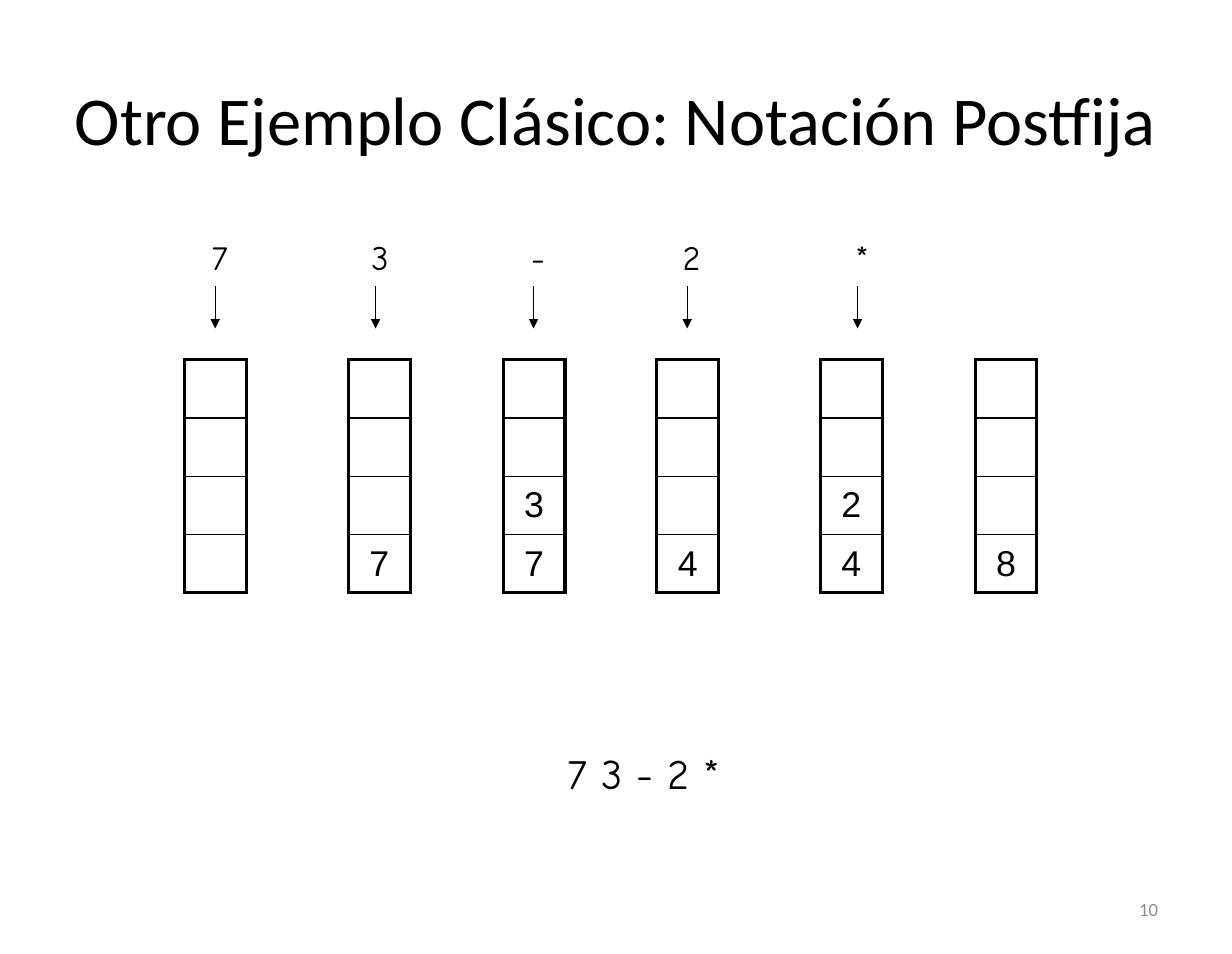
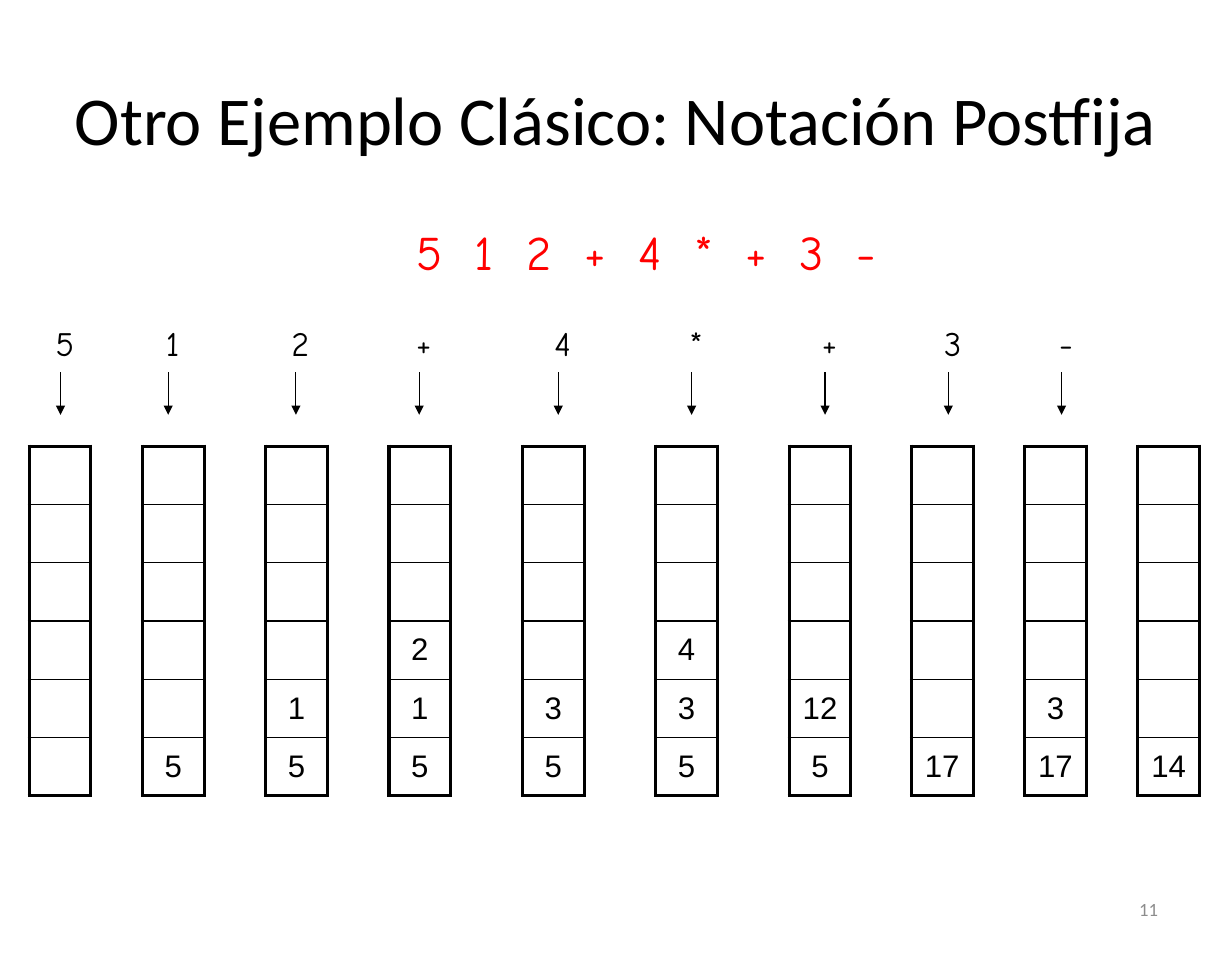
from lxml import etree
from pptx import Presentation
from pptx.dml.color import RGBColor
from pptx.enum.shapes import MSO_CONNECTOR
from pptx.enum.text import MSO_ANCHOR, PP_ALIGN
from pptx.oxml.ns import qn
from pptx.util import Inches, Pt

CENTER, RIGHT = PP_ALIGN.CENTER, PP_ALIGN.RIGHT
TOP, MIDDLE = MSO_ANCHOR.TOP, MSO_ANCHOR.MIDDLE
STRAIGHT = MSO_CONNECTOR.STRAIGHT

COLORS = {"ink": "000000", "accent": "FF0000", "page": "8C8C8C"}
TITLE = "Otro Ejemplo Clásico: Notación Postfija"
FORMATS = {
    "title": {"name": "Calibri", "size": Pt(44)},
    "page": {"name": "Calibri", "size": Pt(12)},
    "symbol": {"name": "Comic Neue", "size": Pt(22)},
}
CELL_WIDTH, CELL_HEIGHT = 0.55, 0.52
THICK, THIN = Pt(2.25), Pt(1)

# Each step: stack left edge, arrow centre, symbol read, stack from top to bottom
EXAMPLES = [
    {
        "page": "10",
        "expression": "7 3 - 2 *",
        "expression_box": (4.72, 6.62, 1.8, 0.57),
        "expression_format": {"name": "Comic Neue", "size": Pt(27)},
        "expression_color": "ink", "expression_align": RIGHT, "letter_gap": 0,
        "stack_top": 3.21, "stack_rows": 4, "value_size": 23,
        "steps": [
            (1.65, 1.92, "7", []),
            (3.11, 3.35, "3", ["7"]),
            (4.49, 4.76, "-", ["3", "7"]),
            (5.86, 6.13, "2", ["4"]),
            (7.32, 7.65, "*", ["2", "4"]),
            (8.7, None, None, ["8"]),
        ],
    },
    {
        "page": "11",
        "expression": "5 1 2 + 4 * + 3 -",
        "expression_box": (3.29, 1.93, 4.95, 0.64),
        "expression_format": {"name": "Comic Neue", "size": Pt(31)},
        "expression_color": "accent", "expression_align": CENTER, "letter_gap": 5.3,
        "stack_top": 3.98, "stack_rows": 6, "value_size": 20,
        "steps": [
            (0.26, 0.54, "5", []),
            (1.27, 1.5, "1", ["5"]),
            (2.37, 2.64, "2", ["1", "5"]),
            (3.47, 3.74, "+", ["2", "1", "5"]),
            (4.66, 4.98, "4", ["3", "5"]),
            (5.85, 6.17, "*", ["4", "3", "5"]),
            (7.04, 7.36, "+", ["12", "5"]),
            (8.13, 8.46, "3", ["17"]),
            (9.14, 9.47, "-", ["3", "17"]),
            (10.15, None, None, ["14"]),
        ],
    },
]


def write(frame, text, font_format, color, align):
    """Fill the first paragraph of a text frame and return its run."""
    paragraph = frame.paragraphs[0]
    paragraph.alignment = align
    run = paragraph.add_run()
    run.text = text
    for attribute, value in font_format.items():
        setattr(run.font, attribute, value)
    run.font.color.rgb = RGBColor.from_string(COLORS[color])
    return run


def add_text(slide, box, text, font_format, color, align, anchor=TOP, wrap=True):
    frame = slide.shapes.add_textbox(*map(Inches, box)).text_frame
    frame.word_wrap = wrap
    frame.vertical_anchor = anchor
    return write(frame, text, font_format, color, align)


prs = Presentation()
prs.slide_width, prs.slide_height = Inches(10.99), Inches(8.51)

for example in EXAMPLES:
    slide = prs.slides.add_slide(prs.slide_layouts[6])

    # Title, page number and expression
    add_text(slide, (0.55, 0.34, 9.89, 1.42), TITLE, FORMATS["title"], "ink", CENTER, MIDDLE)
    add_text(slide, (7.87, 7.88, 2.56, 0.45), example["page"], FORMATS["page"], "page", RIGHT, MIDDLE)
    expression = add_text(slide, example["expression_box"], example["expression"],
                          example["expression_format"], example["expression_color"],
                          example["expression_align"])
    if example["letter_gap"]:
        expression.font._element.set("spc", str(round(example["letter_gap"] * 100)))

    top, rows = example["stack_top"], example["stack_rows"]
    value_format = {"name": "Arial", "size": Pt(example["value_size"])}
    for left, arrow_x, symbol, values in example["steps"]:
        # Stack, with its values resting on the bottom
        stack = slide.shapes.add_table(rows, 1, Inches(left), Inches(top), Inches(CELL_WIDTH),
                                       Inches(CELL_HEIGHT * rows)).table
        stack.first_row = stack.horz_banding = False
        contents = [""] * (rows - len(values)) + values
        for index, value in enumerate(contents):
            stack.rows[index].height = Inches(CELL_HEIGHT)
            cell = stack.cell(index, 0)
            cell.vertical_anchor = MIDDLE
            cell.margin_left = cell.margin_right = Inches(0.11)
            cell.margin_top = cell.margin_bottom = Inches(0.06)
            borders = {
                "a:lnL": THICK,
                "a:lnR": THICK,
                "a:lnT": THICK if index == 0 else THIN,
                "a:lnB": THICK if index == rows - 1 else THIN,
            }
            cell_properties = cell._tc.get_or_add_tcPr()
            for side, width in borders.items():
                border = etree.SubElement(cell_properties, qn(side), w=str(int(width)))
                fill = etree.SubElement(border, qn("a:solidFill"))
                etree.SubElement(fill, qn("a:srgbClr"), val=COLORS["ink"])
            cell.fill.background()
            if value:
                write(cell.text_frame, value, value_format, "ink", CENTER)

        # Symbol being read and its arrow
        if symbol:
            add_text(slide, (arrow_x - 0.16, top - 1.15, 0.4, 0.47), symbol,
                     FORMATS["symbol"], "ink", CENTER, wrap=False)
            arrow = slide.shapes.add_connector(STRAIGHT, Inches(arrow_x), Inches(top - 0.66),
                                               Inches(arrow_x), Inches(top - 0.28))
            arrow.line.width = Pt(0.75)
            arrow.line.color.rgb = RGBColor.from_string(COLORS["ink"])
            etree.SubElement(arrow.line._get_or_add_ln(), qn("a:tailEnd"), type="triangle")
            etree.SubElement(arrow._element.spPr, qn("a:effectLst"))

prs.save("out.pptx")
